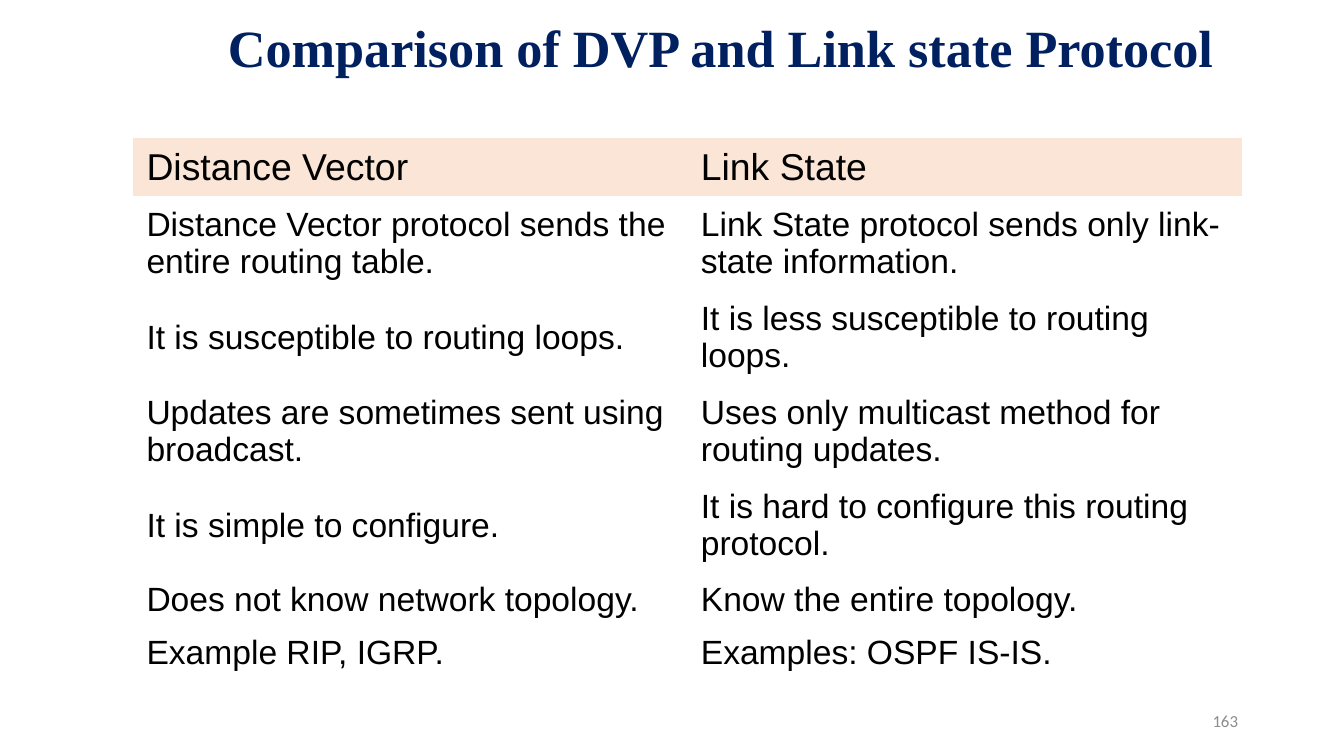
from pptx import Presentation
from pptx.dml.color import RGBColor
from pptx.enum import text
from pptx.util import Inches, Pt

COLORS = {"title": "002060", "body": "000000", "header": "FBE5D6", "number": "8C8C8C"}
NO_STYLE_NO_GRID = "{2D5ABB26-0587-4C30-8999-92F81FD0307C}"


def write(frame, words, size, color, font="Arial", bold=False,
          align=text.PP_ALIGN.LEFT, spacing=1.0):
    frame.word_wrap = True
    paragraph = frame.paragraphs[0]
    paragraph.alignment = align
    paragraph.line_spacing = spacing
    run = paragraph.add_run()
    run.text = words
    run.font.name = font
    run.font.size = Pt(size)
    run.font.bold = bold
    run.font.color.rgb = RGBColor.from_string(COLORS[color])


# Widescreen slide, 16:9
presentation = Presentation()
presentation.slide_width = Inches(10)
presentation.slide_height = Inches(10) * 9 // 16
slide = presentation.slides.add_slide(presentation.slide_layouts[5])

# Title
title = slide.shapes.title
title.left, title.top = Inches(0.9), Inches(0.11)
title.width, title.height = Inches(8.92), Inches(0.51)
frame = title.text_frame
frame.auto_size = text.MSO_AUTO_SIZE.NONE
frame.vertical_anchor = text.MSO_ANCHOR.BOTTOM
frame.margin_left = frame.margin_right = Inches(0.07)
frame.margin_top = frame.margin_bottom = Inches(0.04)
write(frame, "Comparison of DVP and Link state Protocol", 28, "title",
      font="Times New Roman", bold=True, align=text.PP_ALIGN.CENTER, spacing=0.85)

# Comparison table: row height, then the two cells
rows = [
    (0.43, "Distance Vector", "Link State"),
    (0.7, "Distance Vector protocol sends the entire routing table.",
     "Link State protocol sends only link-state information."),
    (0.7, "It is susceptible to routing loops.",
     "It is less susceptible to routing loops."),
    (0.7, "Updates are sometimes sent using broadcast.",
     "Uses only multicast method for routing updates."),
    (0.7, "It is simple to configure.",
     "It is hard to configure this routing protocol."),
    (0.4, "Does not know network topology.", "Know the entire topology."),
    (0.4, "Example RIP, IGRP.", "Examples: OSPF IS-IS."),
]
graphic = slide.shapes.add_table(len(rows), 2, Inches(0.99), Inches(1.03),
                                 Inches(8.25), Inches(4.03))
table = graphic.table
table.first_row = table.horz_banding = False
table._tbl.tblPr[0].text = NO_STYLE_NO_GRID

for row_index, (height, *words) in enumerate(rows):
    table.rows[row_index].height = Inches(height)
    for column_index, cell_words in enumerate(words):
        cell = table.cell(row_index, column_index)
        cell.vertical_anchor = text.MSO_ANCHOR.MIDDLE
        if row_index == 0:
            cell.fill.solid()
            cell.fill.fore_color.rgb = RGBColor.from_string(COLORS["header"])
        else:
            cell.fill.background()
        write(cell.text_frame, cell_words, 20 if row_index == 0 else 18, "body")

# Slide number
number = slide.shapes.add_textbox(Inches(7.06), Inches(5.21), Inches(2.25), Inches(0.3))
number.text_frame.vertical_anchor = text.MSO_ANCHOR.MIDDLE
write(number.text_frame, "163", 9, "number", font="Calibri", align=text.PP_ALIGN.RIGHT)

presentation.save("out.pptx")
